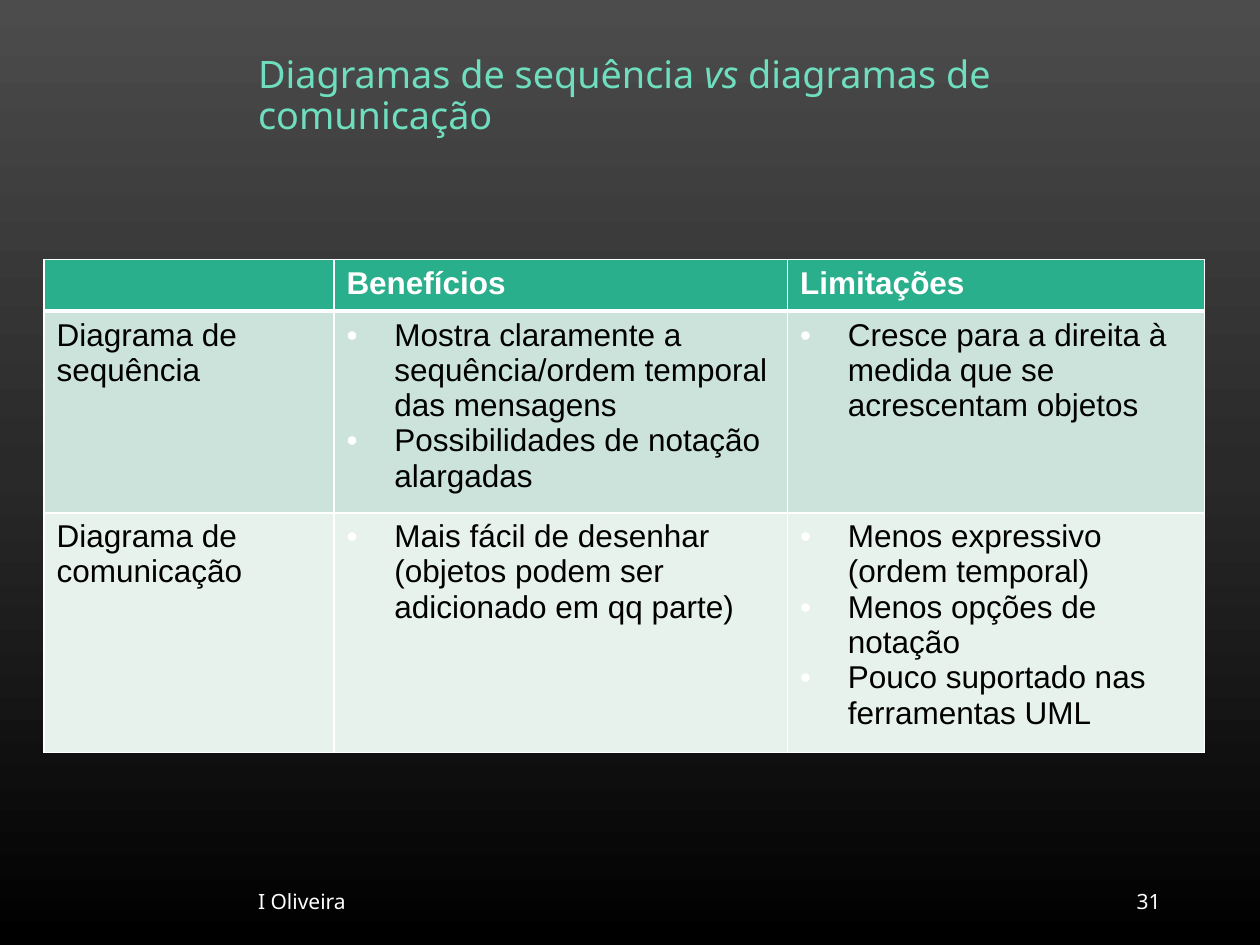
from copy import deepcopy
from dataclasses import dataclass

from lxml.etree import SubElement
from pptx import Presentation
from pptx.dml.color import RGBColor
from pptx.enum.text import MSO_ANCHOR, PP_ALIGN
from pptx.oxml.ns import qn
from pptx.util import Inches, Pt


@dataclass(frozen=True)
class Theme:
    title_font: str = "Noto Sans"
    table_font: str = "Arial"
    title_size: float = 21.6
    table_size: float = 18
    footer_size: float = 12
    title: str = "6EDEBF"
    white: str = "FFFFFF"
    black: str = "000000"
    header_fill: str = "29AF8C"
    row_fills: tuple = ("CBE3DA", "E7F2ED")
    background: tuple = ((0, "4C4C4C"), (0.5, "292929"), (1, "000000"))


@dataclass(frozen=True)
class TextBox:
    runs: tuple
    left: float
    top: float
    width: float
    height: float
    size: float
    color: str
    align: PP_ALIGN = PP_ALIGN.LEFT
    line_spacing: float = 1.0


@dataclass(frozen=True)
class ComparisonRow:
    diagram: str
    benefits: tuple
    limitations: tuple
    height: float


THEME = Theme()
TEXT_BOXES = (
    TextBox(("Diagramas de sequência ", "vs", " diagramas de comunicação"),
            1.95, 0.4, 7.36, 0.74, THEME.title_size, THEME.title, line_spacing=0.9),
    TextBox(("I Oliveira",), 1.95, 6.95, 4.74, 0.4, THEME.footer_size, THEME.white),
    TextBox(("31",), 7.06, 6.95, 2.25, 0.4, THEME.footer_size, THEME.white, PP_ALIGN.RIGHT),
)
HEADERS = ("", "Benefícios", "Limitações")
HEADER_HEIGHT = 0.41
COLUMN_WIDTHS = (2.3, 3.6, 3.31)
ROWS = (
    ComparisonRow(
        "Diagrama de sequência",
        ("Mostra claramente a sequência/ordem temporal das mensagens",
         "Possibilidades de notação alargadas"),
        ("Cresce para a direita à medida que se acrescentam objetos",),
        1.49),
    ComparisonRow(
        "Diagrama de comunicação",
        ("Mais fácil de desenhar (objetos podem ser adicionado em qq parte)",),
        ("Menos expressivo (ordem temporal)", "Menos opções de notação",
         "Pouco suportado nas ferramentas UML"),
        1.78),
)


def style_font(font, name: str, size: float, color: str) -> None:
    font.name = name
    font.size = Pt(size)
    font.color.rgb = RGBColor.from_string(color)


def paint_background(slide) -> None:
    fill = slide.background.fill
    fill.gradient()
    fill.gradient_angle = 270
    stop_list = next(slide.element.iter(qn("a:gsLst")))
    stop_list.insert(1, deepcopy(stop_list[0]))
    for stop, (position, color) in zip(fill.gradient_stops, THEME.background):
        stop.position = position
        stop.color.rgb = RGBColor.from_string(color)


def add_text_box(slide, box: TextBox) -> None:
    shape = slide.shapes.add_textbox(
        Inches(box.left), Inches(box.top), Inches(box.width), Inches(box.height))
    frame = shape.text_frame
    frame.word_wrap = True
    frame.vertical_anchor = MSO_ANCHOR.MIDDLE
    paragraph = frame.paragraphs[0]
    paragraph.alignment = box.align
    paragraph.line_spacing = box.line_spacing
    for text in box.runs:
        run = paragraph.add_run()
        run.text = text
        style_font(run.font, THEME.title_font, box.size, box.color)
        run.font.italic = text == "vs"


def add_bullet(paragraph) -> None:
    """Give the paragraph a white bullet with a hanging indent."""
    properties = paragraph._p.get_or_add_pPr()
    properties.set("marL", str(Inches(0.38)))
    properties.set("indent", str(-Inches(0.38)))
    bullet_color = SubElement(properties, qn("a:buClr"))
    SubElement(bullet_color, qn("a:srgbClr"), val=THEME.white)
    SubElement(properties, qn("a:buFont"), typeface=THEME.table_font)
    SubElement(properties, qn("a:buChar"), char="•")


def set_borders(cell, top: float, bottom: float) -> None:
    properties = cell._tc.get_or_add_tcPr()
    for side, width in (("L", 1), ("R", 1), ("T", top), ("B", bottom)):
        line = SubElement(properties, qn(f"a:ln{side}"), w=str(Pt(width)))
        fill = SubElement(line, qn("a:solidFill"))
        SubElement(fill, qn("a:srgbClr"), val=THEME.white)


def fill_cell(cell, lines: tuple, fill: str, color: str, bold: bool = False,
              bulleted: bool = False, top: float = 1, bottom: float = 1) -> None:
    set_borders(cell, top, bottom)
    cell.fill.solid()
    cell.fill.fore_color.rgb = RGBColor.from_string(fill)
    cell.text_frame.text = "\n".join(lines)
    for paragraph in cell.text_frame.paragraphs:
        if bulleted:
            add_bullet(paragraph)
        style_font(paragraph.font, THEME.table_font, THEME.table_size, color)
        for run in paragraph.runs:
            style_font(run.font, THEME.table_font, THEME.table_size, color)
            run.font.bold = bold


def add_comparison_table(slide) -> None:
    heights = (HEADER_HEIGHT, *(row.height for row in ROWS))
    table = slide.shapes.add_table(
        len(heights), len(COLUMN_WIDTHS), Inches(0.35), Inches(2.06),
        Inches(sum(COLUMN_WIDTHS)), Inches(sum(heights))).table
    for column, width in zip(table.columns, COLUMN_WIDTHS):
        column.width = Inches(width)
    for table_row, height in zip(table.rows, heights):
        table_row.height = Inches(height)

    for column, header in enumerate(HEADERS):
        fill_cell(table.cell(0, column), (header,), THEME.header_fill, THEME.white,
                  bold=True, bottom=3)
    for index, (row, fill) in enumerate(zip(ROWS, THEME.row_fills), start=1):
        contents = ((row.diagram,), row.benefits, row.limitations)
        for column, lines in enumerate(contents):
            fill_cell(table.cell(index, column), lines, fill, THEME.black,
                      bulleted=column > 0, top=3 if index == 1 else 1)


def main() -> None:
    presentation = Presentation()
    presentation.slide_width = Inches(10)
    presentation.slide_height = Inches(7.5)
    slide = presentation.slides.add_slide(presentation.slide_layouts[6])
    paint_background(slide)
    for box in TEXT_BOXES:
        add_text_box(slide, box)
    add_comparison_table(slide)
    presentation.save("out.pptx")


if __name__ == "__main__":
    main()
